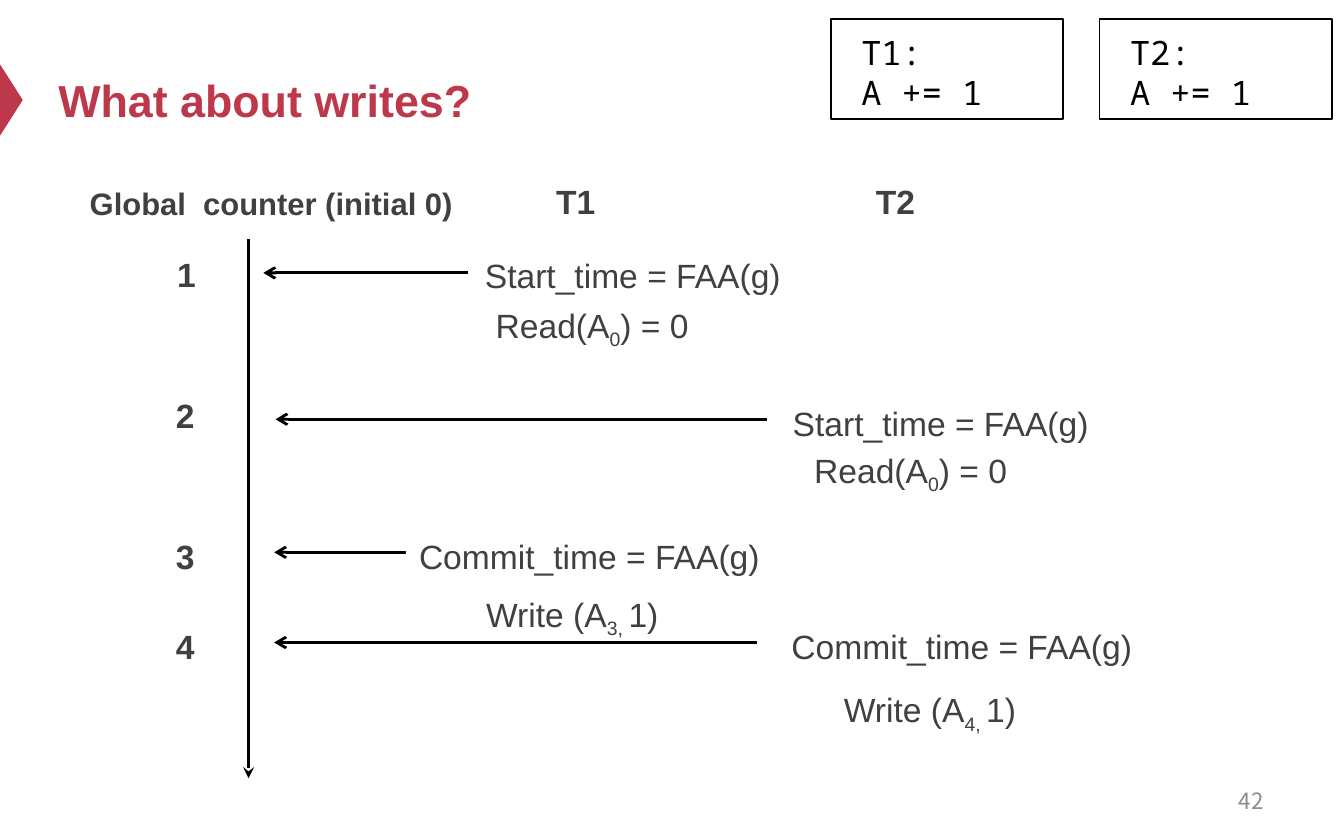
import pptx
import pptx.dml.color
import pptx.enum.shapes
import pptx.enum.text
import pptx.oxml
import pptx.oxml.ns
import pptx.util

Pt = pptx.util.Pt
SHAPES = pptx.enum.shapes.MSO_SHAPE
ALIGN = pptx.enum.text.PP_ALIGN
MIDDLE = pptx.enum.text.MSO_ANCHOR.MIDDLE
RED, GREY, BLACK, WHITE = "BE384B", "404040", "000000", "FFFFFF"
ROW_HEIGHT = 39.6


def color(value):
    """Turn a hex string into a colour."""
    return pptx.dml.color.RGBColor.from_string(value)


def lengths(*values):
    """Turn numbers of points into lengths."""
    return [Pt(value) for value in values]


def format_run(run, size, tint, bold=False, font="Arial"):
    """Give a run its font, size, colour and weight."""
    run.font.name = font
    run.font.size = Pt(size)
    run.font.bold = bold
    run.font.color.rgb = color(tint)


def add_text(page, box, parts, size=18, bold=False, fill=None):
    """Place one spaced paragraph; every second part is a subscript."""
    shape = page.shapes.add_textbox(*lengths(*box))
    if fill:
        shape.fill.solid()
        shape.fill.fore_color.rgb = color(fill)
    shape.text_frame.word_wrap = True
    para = shape.text_frame.paragraphs[0]
    para.line_spacing = 1.2
    para.space_before = Pt(12)
    for index, part in enumerate(parts):
        span = para.add_run()
        span.text = part
        format_run(span, size, GREY, bold)
        if index % 2:
            span.font._element.set("baseline", "-25000")


def add_arrow(page, start, end, width, head):
    """Draw a black line with an arrowhead at its end."""
    arrow = page.shapes.add_connector(
        pptx.enum.shapes.MSO_CONNECTOR.STRAIGHT, *lengths(*start, *end))
    arrow.line.color.rgb = color(BLACK)
    arrow.line.width = Pt(width)
    tail = pptx.oxml.parse_xml(
        f'<a:tailEnd {pptx.oxml.ns.nsdecls("a")} type="{head}"/>')
    arrow.line._get_or_add_ln().append(tail)
    arrow._element.spPr.append(
        pptx.oxml.parse_xml(f'<a:effectLst {pptx.oxml.ns.nsdecls("a")}/>'))


def add_title(page, box):
    """Place the slide title and the red marker on the left edge."""
    left, top, width, height = box
    marker = page.shapes.add_shape(
        SHAPES.ISOSCELES_TRIANGLE, *lengths(left - 37, top + 29.5, 38.2, 12.2))
    marker.rotation = 90
    marker.shadow.inherit = False
    marker.fill.solid()
    marker.fill.fore_color.rgb = color(RED)
    marker.line.fill.background()
    title = page.shapes.title
    title.left, title.top, title.width, title.height = lengths(*box)
    frame = title.text_frame
    frame.text = "What about writes?"
    frame.auto_size = pptx.enum.text.MSO_AUTO_SIZE.NONE
    frame.vertical_anchor = MIDDLE
    frame.paragraphs[0].alignment = ALIGN.LEFT
    format_run(frame.paragraphs[0].runs[0], 24, RED, True)


def add_transaction(page, box, name):
    """Place a framed transaction listing."""
    left, top, width, height = box
    border = page.shapes.add_shape(SHAPES.RECTANGLE, *lengths(*box))
    border.shadow.inherit = False
    border.fill.background()
    border.line.color.rgb = color(BLACK)
    border.line.width = Pt(1)
    listing = page.shapes.add_textbox(
        *lengths(left + 9.3, top + 3.6, width - 8.7, height - 3))
    listing.text_frame.word_wrap = True
    listing.text_frame.text = f"{name}:\nA += 1"
    for para in listing.text_frame.paragraphs:
        format_run(para.runs[0], 18, BLACK, font="Noto Sans Mono")


def add_timeline(page, box):
    """Place the counter axis, its headings and the four events."""
    left, top, width, height = box
    start, commit = "Start_time = FAA(g)", "Commit_time = FAA(g)"
    read = ["Read(A", "0", ") = 0"]
    events = [
        (40.2, 58.2, 210.6, 101.1, (212.7, 40.9), start, (218.5, 66.8), read),
        (115.8, 136.6, 371.1, 107.6, (377.6, 120.1), start, (389.1, 144.6), read),
        (191.4, 207.9, 216.3, 106.9, (177.4, 191.4), commit,
         (213.4, 221.6), ["Write (A", "3, ", "1)"]),
        (239.6, 256.2, 365.4, 106.9, (376.9, 239.6), commit,
         (405, 272.7), ["Write (A", "4, ", "1)"]),
    ]

    def place(x, y, box_width, parts, **style):
        """Place a text at an offset inside the timeline."""
        add_text(page, (left + x, top + y, box_width, ROW_HEIGHT), parts, **style)

    place(1, 3.4, 209.5, ["Global  counter (initial 0)"],
          size=16.6, bold=True, fill=WHITE)
    for name, x in (("T1", 250.9), ("T2", 422.2)):
        place(x, 1.3, 63.4, [name], bold=True)
    for number, event in enumerate(events, 1):
        number_x = 47.8 if number == 1 else 47.1
        number_width = 138.2 if number < 3 else 43.2
        place(number_x, event[0], number_width, [str(number)], bold=True,
              fill=WHITE if number == 1 else None)
    axis_x = left + 93.2
    add_arrow(page, (axis_x, top + 40.2), (axis_x, top + height), 2, "stealth")
    for _, y, tail_x, head_x, label_at, label, step_at, step in events:
        add_arrow(page, (left + tail_x, top + y), (left + head_x, top + y),
                  1.5, "arrow")
        place(*label_at, 215.3, [label], fill=WHITE if label == commit else None)
        place(*step_at, 158.4 if step == read else 118.1, step)


def add_page_number(page, box):
    """Place the page number."""
    shape = page.shapes.add_textbox(*lengths(*box))
    frame = shape.text_frame
    frame.word_wrap = True
    frame.vertical_anchor = MIDDLE
    frame.text = "42"
    frame.paragraphs[0].alignment = ALIGN.RIGHT
    format_run(frame.paragraphs[0].runs[0], 12, "8C8C8C", font="Noto Sans CJK SC")


def main():
    """Build the slide and save it."""
    deck = pptx.Presentation()
    deck.slide_width, deck.slide_height = lengths(720, 450)
    page = deck.slides.add_slide(deck.slide_layouts.get_by_name("Title Only"))
    add_title(page, (24, 18, 445.7, 70.6))
    for index, name in enumerate(("T1", "T2")):
        add_transaction(page, (445 + 144 * index, 10, 124.6, 54), name)
    add_timeline(page, (40, 88, 593, 328.9))
    add_page_number(page, (516.2, 416.9, 167.8, 23.8))
    deck.save("out.pptx")


if __name__ == "__main__":
    main()
